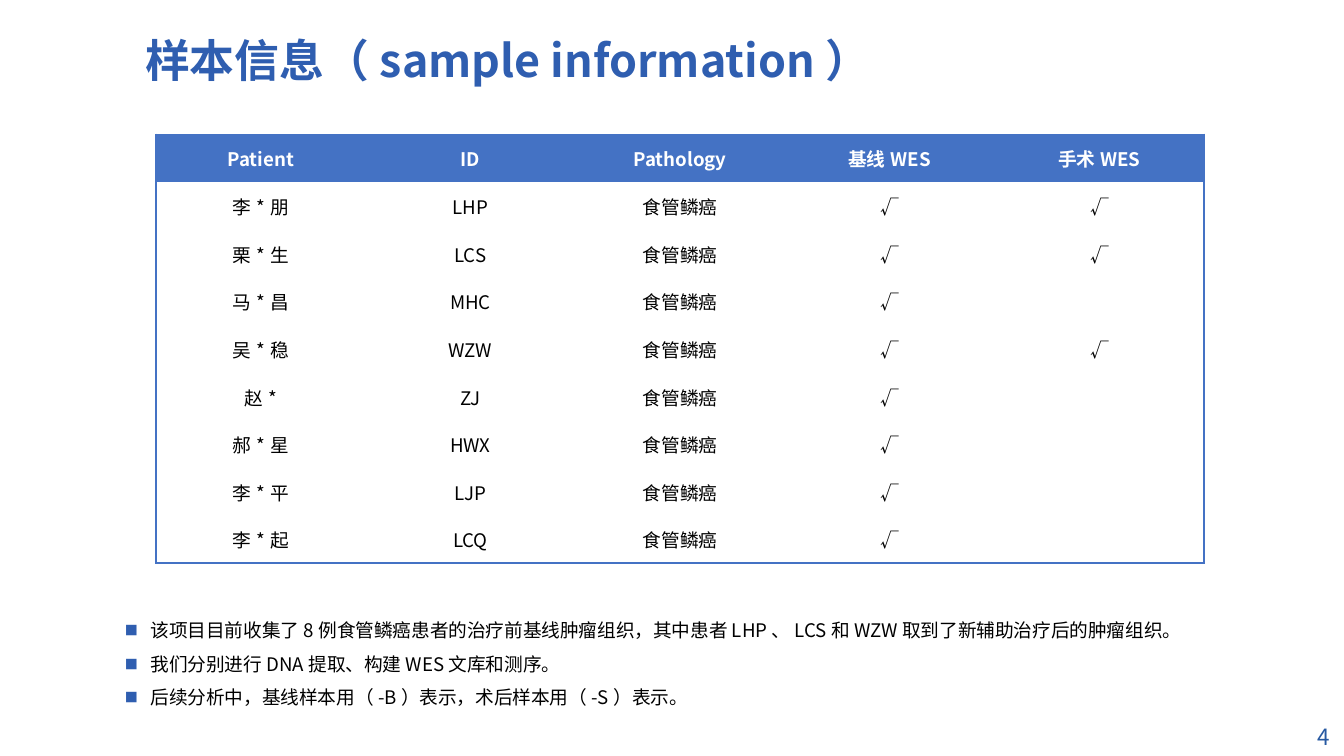
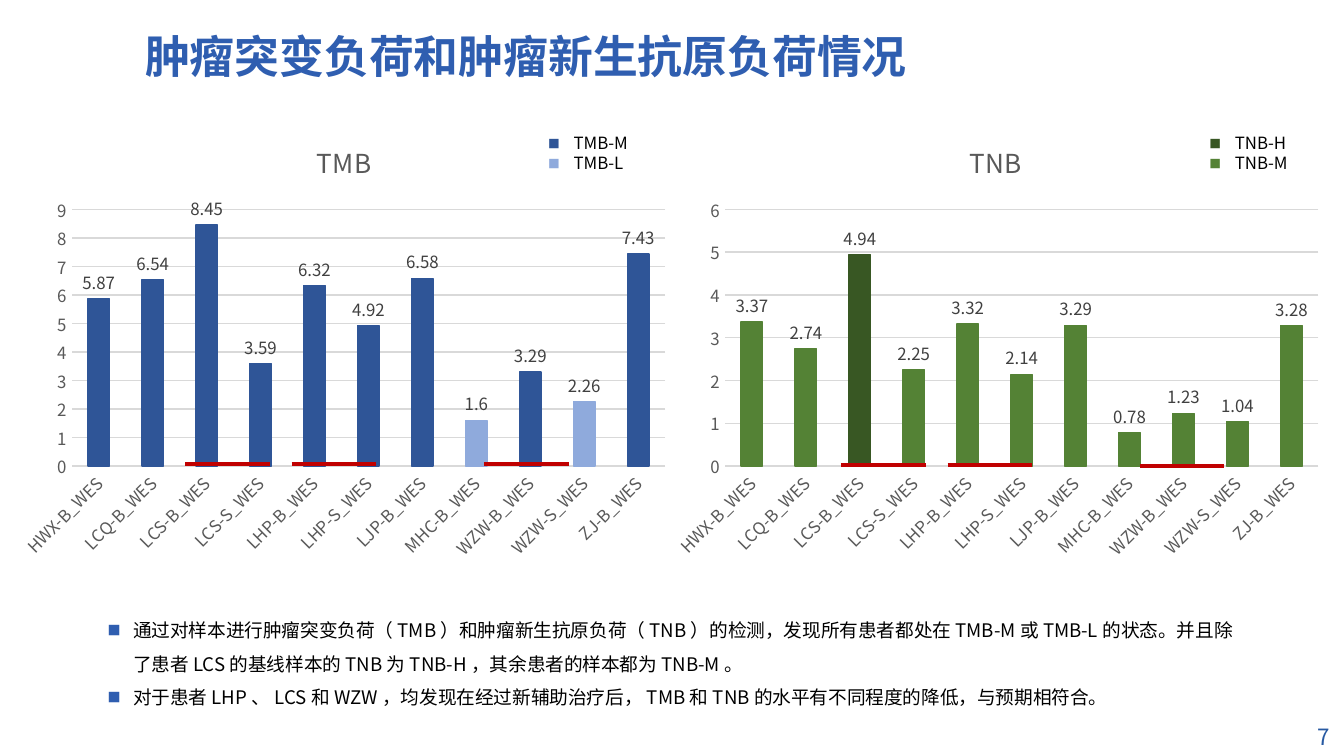
"""Build the sample table slide and the mutation load slide."""
from dataclasses import dataclass
from typing import NamedTuple, Optional

from lxml import etree
from pptx import Presentation
from pptx.chart.data import CategoryChartData
from pptx.dml.color import RGBColor
from pptx.enum.chart import XL_CHART_TYPE, XL_LABEL_POSITION, XL_TICK_MARK
from pptx.enum.shapes import MSO_CONNECTOR
from pptx.enum.text import MSO_ANCHOR, MSO_AUTO_SIZE, PP_ALIGN
from pptx.oxml import parse_xml
from pptx.oxml.ns import nsdecls, qn
from pptx.util import Inches, Pt

LEFT, RIGHT, CENTER = PP_ALIGN.LEFT, PP_ALIGN.RIGHT, PP_ALIGN.CENTER
MIDDLE, TOP = MSO_ANCHOR.MIDDLE, MSO_ANCHOR.TOP
GROW, FIXED = MSO_AUTO_SIZE.SHAPE_TO_FIT_TEXT, MSO_AUTO_SIZE.NONE
COLUMN, ABOVE = XL_CHART_TYPE.COLUMN_CLUSTERED, XL_LABEL_POSITION.OUTSIDE_END
NO_TICK, STRAIGHT = XL_TICK_MARK.NONE, MSO_CONNECTOR.STRAIGHT
WIDE = Inches(10)
HIGH = WIDE * 9 // 16
UNIT = WIDE // 100
PLAIN = "{2D5ABB26-0587-4C30-8999-92F81FD0307C}"


@dataclass(frozen=True)
class Theme:
    """Colours, font and type sizes of the deck."""
    font: str = "Noto Sans CJK SC"
    head: str = "2F5EB0"
    page: str = "2759A2"
    band: str = "4472C4"
    ink: str = "000000"
    white: str = "FFFFFF"
    axis: str = "595959"
    label: str = "404040"
    grid: str = "D9D9D9"
    mark: str = "C00000"
    deep: str = "2F5597"
    pale: str = "8FAADC"
    dark: str = "385723"
    green: str = "548235"
    title: float = 24
    name: float = 14
    foot: float = 12
    body: float = 10
    small: float = 9


THEME = Theme()


class Box(NamedTuple):
    """A place on a grid of one hundred columns, with square cells."""
    x: float
    y: float
    w: float
    h: float

    def place(self) -> tuple:
        """Give left, top, width and height as lengths."""
        return tuple(int(UNIT * part) for part in self)


class Panel(NamedTuple):
    """One chart with its key and pair marks."""
    name: str
    left: float
    values: tuple
    color: str
    odd: str
    picks: tuple
    top: int
    key: tuple
    key_x: float
    shift: float
    marks: tuple


class Patient(NamedTuple):
    """One row of the sample table."""
    name: str
    code: str
    after: bool = False


HEADS = ("Patient", "ID", "Pathology", "基线WES", "手术WES")
PATIENTS = (
    Patient("李*朋", "LHP", True), Patient("栗*生", "LCS", True),
    Patient("马*昌", "MHC"), Patient("吴*稳", "WZW", True),
    Patient("赵*", "ZJ"), Patient("郝*星", "HWX"),
    Patient("李*平", "LJP"), Patient("李*起", "LCQ"))
SAMPLES = tuple(f"{code}_WES" for code in (
    "HWX-B", "LCQ-B", "LCS-B", "LCS-S", "LHP-B", "LHP-S",
    "LJP-B", "MHC-B", "WZW-B", "WZW-S", "ZJ-B"))
PAIRS = (13.8, 21.7, 36)
PANELS = (
    Panel("TMB", 0.6,
          (5.87, 6.54, 8.45, 3.59, 6.32, 4.92, 6.58, 1.6, 3.29, 2.26, 7.43),
          THEME.deep, THEME.pale, (7, 9), 9,
          (("TMB-M", THEME.deep), ("TMB-L", THEME.pale)),
          39.8, 0, (34.5, 34.5, 34.5)),
    Panel("TNB", 49.2,
          (3.37, 2.74, 4.94, 2.25, 3.32, 2.14, 3.29, 0.78, 1.23, 1.04, 3.28),
          THEME.green, THEME.dark, (2,), 6,
          (("TNB-H", THEME.dark), ("TNB-M", THEME.green)),
          89, 48.8, (34.6, 34.6, 34.7)))
SAMPLE_NOTES = (
    "该项目目前收集了8例食管鳞癌患者的治疗前基线肿瘤组织，其中患者LHP、LCS和WZW取到了新辅助治疗后的肿瘤组织。",
    "我们分别进行DNA提取、构建WES文库和测序。",
    "后续分析中，基线样本用（-B）表示，术后样本用（-S）表示。")
LOAD_NOTES = (
    "通过对样本进行肿瘤突变负荷（TMB）和肿瘤新生抗原负荷（TNB）的检测，发现所有患者都处在TMB-M或TMB-L的状态。"
    "并且除了患者LCS的基线样本的TNB为TNB-H，其余患者的样本都为TNB-M。",
    "对于患者LHP、LCS和WZW，均发现在经过新辅助治疗后，TMB和TNB的水平有不同程度的降低，与预期相符合。")


def style(font, size: float, color: str, bold: bool = False) -> None:
    """Set the face, size and colour of a font."""
    font.name, font.size, font.bold = THEME.font, Pt(size), bold
    font.color.rgb = RGBColor.from_string(color)


def bullet(para, color: str) -> None:
    """Give a paragraph a square bullet and a hanging indent."""
    props = para._p.get_or_add_pPr()
    props.set("marL", str(Inches(0.19)))
    props.set("indent", str(-Inches(0.19)))
    for xml in (f'<a:buClr {nsdecls("a")}><a:srgbClr val="{color}"/></a:buClr>',
                f'<a:buSzPct {nsdecls("a")} val="70000"/>',
                f'<a:buFont {nsdecls("a")} typeface="{THEME.font}"/>',
                f'<a:buChar {nsdecls("a")} char="■"/>'):
        props.append(parse_xml(xml))


def write(frame, lines: tuple, *, size: float = THEME.body,
          color: str = THEME.ink, bold: bool = False, align=LEFT,
          anchor=TOP, space: float = 1, dots: tuple = (), fit=None) -> None:
    """Fill a text frame with formatted paragraphs."""
    frame.word_wrap = True
    frame.vertical_anchor = anchor
    if fit is not None:
        frame.auto_size = fit
    for spot, line in enumerate(lines):
        para = frame.add_paragraph() if spot else frame.paragraphs[0]
        para.alignment, para.line_spacing = align, space
        para.space_before = para.space_after = Pt(0)
        if dots:
            bullet(para, dots[spot])
        if not line:
            para._p.get_or_add_endParaRPr().set("sz", str(int(size * 100)))
            continue
        run = para.add_run()
        run.text = line
        style(run.font, size, color, bold)
        face = etree.SubElement(run._r.get_or_add_rPr(), qn("a:ea"))
        face.set("typeface", THEME.font)


def move(shape, box: Box) -> None:
    """Put a shape at its box."""
    shape.left, shape.top, shape.width, shape.height = box.place()


def start(deck, title: str, spot: Box, notes: tuple, left: float, page: str):
    """Add a slide with title, notes and page number."""
    slide = deck.slides.add_slide(deck.slide_layouts[1])
    head, body = slide.placeholders
    move(head, spot)
    write(head.text_frame, (title,), size=THEME.title, color=THEME.head,
          bold=True, anchor=MIDDLE, space=0.9, fit=FIXED)
    move(body, Box(left, 44.7, 86.2, 8.6))
    write(body.text_frame, notes, space=1.5,
          dots=(THEME.head,) * len(notes), fit=GROW)
    foot = slide.shapes.add_textbox(*Box(90.8, 53.4, 9.1, 2.8).place())
    write(foot.text_frame, (page,), size=THEME.foot, color=THEME.page,
          align=RIGHT, anchor=MIDDLE)
    return slide


def edge(cell, sides: str) -> None:
    """Draw the named sides of a cell."""
    for side in sides:
        cell._tc.get_or_add_tcPr().append(parse_xml(
            f'<a:ln{side} {nsdecls("a")} w="{Pt(0.9)}"><a:solidFill>'
            f'<a:srgbClr val="{THEME.band}"/></a:solidFill></a:ln{side}>'))


def roster(slide) -> None:
    """Add the table of patients."""
    rows = [HEADS] + [(who.name, who.code, "食管鳞癌", "√",
                       "√" if who.after else "") for who in PATIENTS]
    last, end = len(rows) - 1, len(HEADS) - 1
    table = slide.shapes.add_table(
        len(rows), len(HEADS), *Box(11.6, 10, 78, 31.92).place()).table
    table.horz_banding = False
    table._tbl.tblPr.find(qn("a:tableStyleId")).text = PLAIN
    for y, row in enumerate(rows):
        for x, word in enumerate(row):
            cell = table.cell(y, x)
            cell.margin_left = cell.margin_right = Inches(0.01)
            cell.margin_top, cell.margin_bottom = Inches(0.01), 0
            cell.vertical_anchor = MIDDLE
            edge(cell, "L" * (x == 0) + "R" * (x == end)
                 + "T" * (y == 0) + "B" * (y == last))
            if y:
                cell.fill.background()
            else:
                cell.fill.solid()
                cell.fill.fore_color.rgb = RGBColor.from_string(THEME.band)
            write(cell.text_frame, (word,), bold=not y, align=CENTER,
                  anchor=MIDDLE, color=THEME.ink if y else THEME.white)


def paint(part, color: str) -> None:
    """Fill and outline a bar or series."""
    part.format.fill.solid()
    part.format.fill.fore_color.rgb = RGBColor.from_string(color)
    part.format.line.color.rgb = RGBColor.from_string(color)
    part.format.line.width = Pt(0.75)


def fix(node, x: float, y: float, w: Optional[float] = None,
        h: Optional[float] = None) -> None:
    """Pin a chart part at percentages of the chart."""
    for old in node.findall(qn("c:layout")):
        node.remove(old)
    inner = '<c:layoutTarget val="inner"/>' if w else ""
    size = f'<c:w val="{w / 100}"/><c:h val="{h / 100}"/>' if w else ""
    lay = parse_xml(
        f'<c:layout {nsdecls("c")}><c:manualLayout>{inner}'
        '<c:xMode val="edge"/><c:yMode val="edge"/><c:x val="'
        f'{x / 100}"/><c:y val="{y / 100}"/>{size}</c:manualLayout></c:layout>')
    text = node.find(qn("c:tx"))
    node.insert(0 if text is None else 1, lay)


def graph(slide, panel: Panel) -> None:
    """Add one column chart."""
    data = CategoryChartData()
    data.categories = SAMPLES
    data.add_series("Series 1", panel.values)
    chart = slide.shapes.add_chart(
        COLUMN, *Box(panel.left, 8.9, 49.9, 33.4).place(), data).chart
    style(chart.font, THEME.body, THEME.ink)
    chart.has_legend = False
    write(chart.chart_title.text_frame, (panel.name,), size=THEME.name,
          color=THEME.axis, align=CENTER)
    fix(chart.chart_title._element, 45.3, 3.4)
    for axis in (chart.category_axis, chart.value_axis):
        axis.major_tick_mark = axis.minor_tick_mark = NO_TICK
        axis.format.line.fill.background()
        style(axis.tick_labels.font, THEME.small, THEME.axis)
    turn = chart.category_axis._element.find(qn("c:txPr")).find(qn("a:bodyPr"))
    turn.set("rot", "-2700000")
    scale = chart.value_axis
    scale.minimum_scale, scale.maximum_scale, scale.major_unit = 0, panel.top, 1
    rule = scale.major_gridlines.format.line
    rule.color.rgb, rule.width = RGBColor.from_string(THEME.grid), Pt(0.75)
    plot = chart.plots[0]
    plot.gap_width, plot.vary_by_categories = 150, False
    bars = plot.series[0]
    paint(bars, panel.color)
    for pick in panel.picks:
        paint(bars.points[pick], panel.odd)
    tags = bars.data_labels
    tags.show_value, tags.position = True, ABOVE
    style(tags.font, THEME.small, THEME.label)
    fix(chart._chartSpace.chart.plotArea, 9.5, 20, 88.5, 57.2)


def legend(slide, panel: Panel) -> None:
    """Add the colour key of a chart."""
    words, colors = zip(*panel.key)
    box = slide.shapes.add_textbox(*Box(panel.key_x, 9.4, 8.7, 4).place())
    write(box.text_frame, words, size=THEME.small, dots=colors, fit=GROW)


def pairs(slide, panel: Panel) -> None:
    """Underline the paired samples of a chart."""
    for x, y in zip(PAIRS, panel.marks):
        left, top, width, _ = Box(x + panel.shift, y, 6.3, 0).place()
        line = slide.shapes.add_connector(
            STRAIGHT, left, top, left + width, top)
        line.line.color.rgb = RGBColor.from_string(THEME.mark)
        line.line.width = Pt(2)
        etree.SubElement(line._element.spPr, qn("a:effectLst"))


def main() -> None:
    """Build both slides and save the deck."""
    deck = Presentation()
    deck.slide_width, deck.slide_height = WIDE, HIGH
    roster(start(deck, "样本信息（sample information）",
                 Box(9.8, 1.7, 70.9, 5.9), SAMPLE_NOTES, 8.3, "4"))
    slide = start(deck, "肿瘤突变负荷和肿瘤新生抗原负荷情况",
                  Box(9.8, 1.4, 65.4, 5.9), LOAD_NOTES, 7, "7")
    for draw in (graph, legend, pairs):
        for panel in PANELS:
            draw(slide, panel)
    deck.save("out.pptx")


if __name__ == "__main__":
    main()
